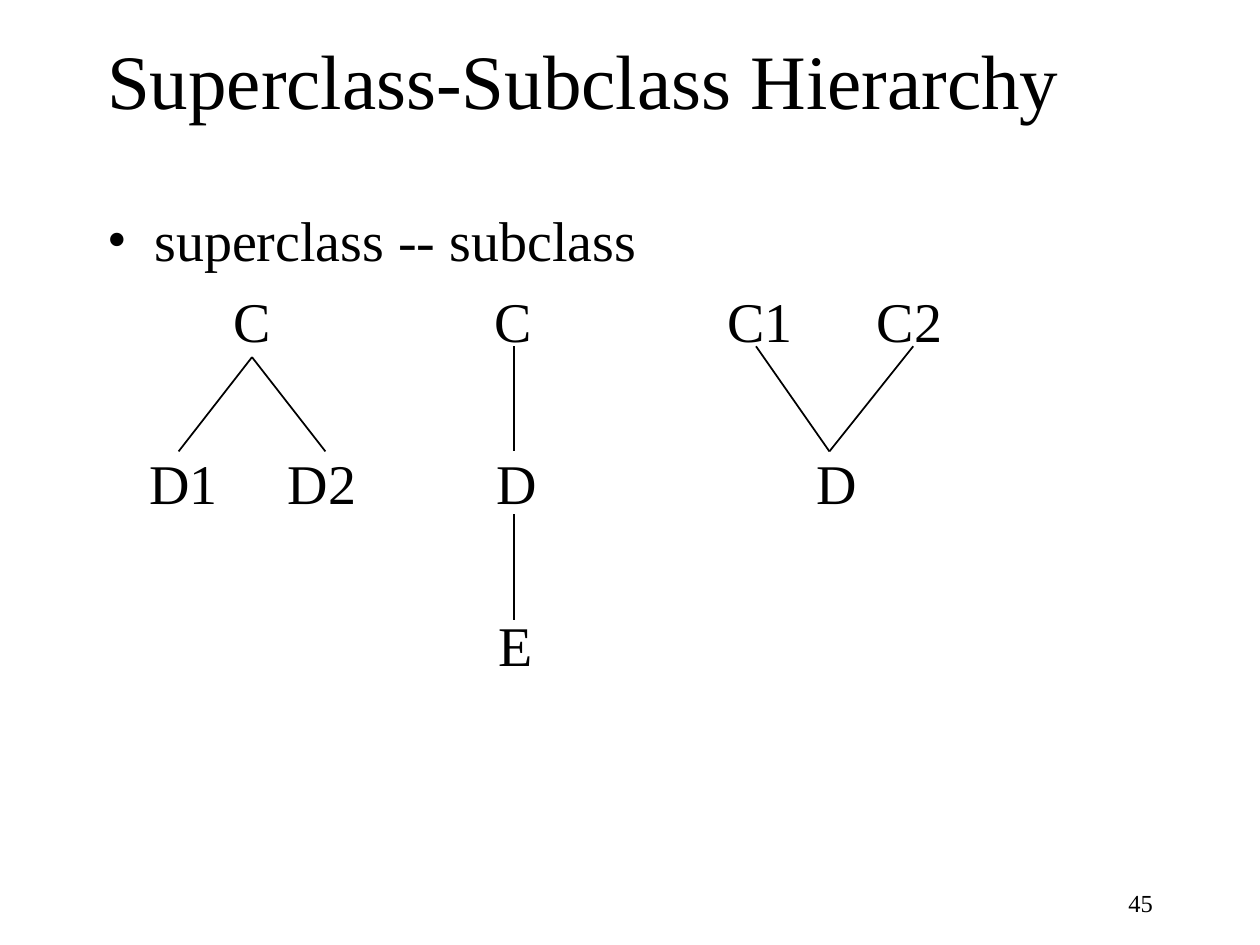
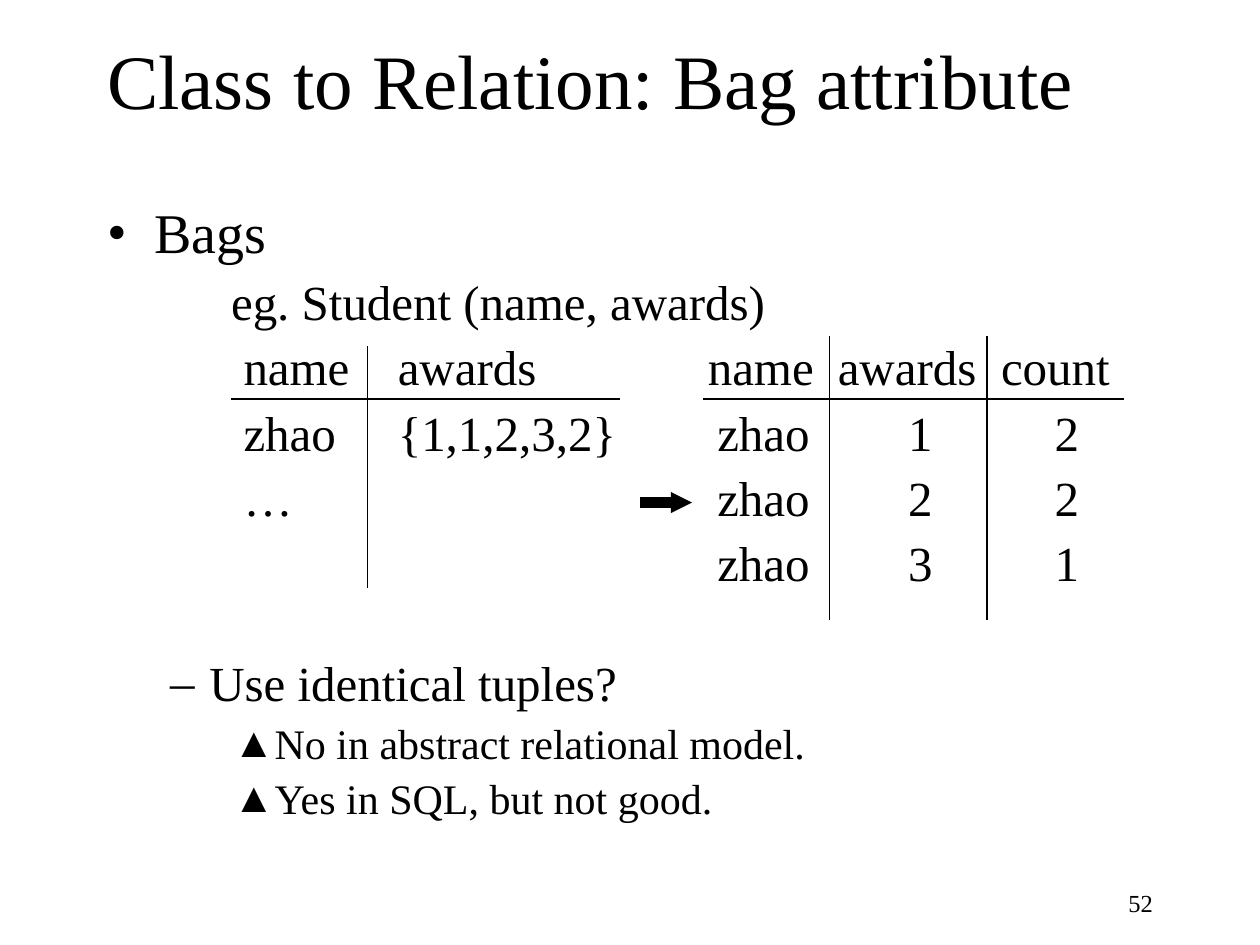
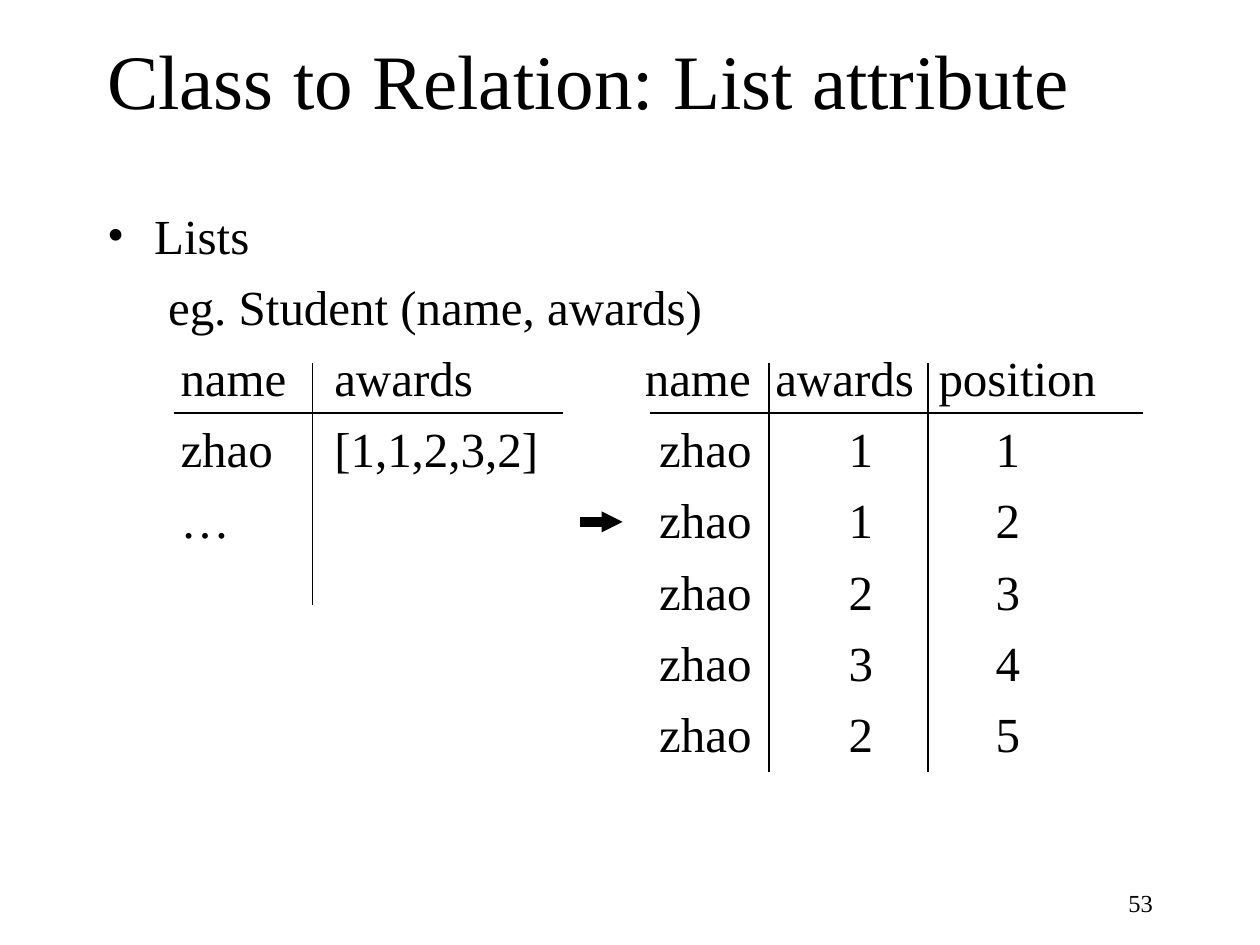
from lxml import etree
from pptx import Presentation
from pptx.dml.color import RGBColor
from pptx.enum.shapes import MSO_CONNECTOR
from pptx.enum.text import MSO_ANCHOR, PP_ALIGN
from pptx.oxml.ns import qn
from pptx.util import Cm, Pt

STRAIGHT = MSO_CONNECTOR.STRAIGHT
TOP, MIDDLE = MSO_ANCHOR.TOP, MSO_ANCHOR.MIDDLE
LEFT, RIGHT = PP_ALIGN.LEFT, PP_ALIGN.RIGHT

FONT, INK = "Times New Roman", "000000"

# Shared boxes: left, top, width, height in cm
TITLE_BOX = (1.91, 0, 21.59, 3.18)
BODY_BOX = (1.91, 4.02, 21.59, 12.9)
NUMBER_BOX = (18.2, 17.78, 5.29, 0.84)

# Bullet levels: character, left margin, hanging indent in cm
DOT = ("•", 0.95, -0.95)
DASH = ("–", 2.06, -0.79)
TRIANGLE = ("▲", 3.18, -0.64)

# Tab stops in cm from the left edge of the text
BAG_HEAD = (2.75, 5.86, 12.11, 14.73, 18.02)
BAG_ROW = (2.75, 5.86, 12.3, 16.15, 19.1)
LIST_HEAD = (1.48, 4.58, 10.84, 13.47, 16.76)
LIST_ROW = (1.48, 4.58, 11.13, 14.95, 17.91)

# Each body line is (text or cells, format); lines and arrows are x1, y1, x2, y2 in cm
SLIDES = [
    dict(
        number=45, title="Superclass-Subclass Hierarchy",
        style=dict(size=32, before=8),
        body=[
            ("superclass -- subclass", dict(bullet=DOT)),
            (["C", "C", "C1", "C2"], dict(tabs=(2.54, 7.81, 12.51, 15.52))),
            (["D1", "D2", "D", "D"], dict(tabs=(0.85, 3.64, 7.84, 14.3), before=54)),
            (["E"], dict(tabs=(7.9,), before=54)),
        ],
        lines=[
            (5.08, 7.2, 3.6, 9.1), (5.08, 7.2, 6.56, 9.1),
            (10.37, 6.98, 10.37, 9.1), (10.37, 10.37, 10.37, 12.49),
            (15.24, 6.98, 16.72, 9.1), (16.72, 9.1, 18.41, 6.98),
        ],
    ),
    dict(
        number=52, title="Class to Relation: Bag attribute",
        style=dict(size=28, before=7, spacing=0.9),
        body=[
            ("Bags", dict(bullet=DOT, size=32)),
            ("eg. Student (name, awards)", dict(margin=2.5)),
            (["name", "awards", "name", "awards", "count"], dict(tabs=BAG_HEAD)),
            (["zhao", "{1,1,2,3,2}", "zhao", "1", "2"], dict(tabs=BAG_ROW)),
            (["…", "", "zhao", "2", "2"], dict(tabs=BAG_ROW)),
            (["", "", "zhao", "3", "1"], dict(tabs=BAG_ROW)),
            ("Use identical tuples?", dict(bullet=DASH, before=38.5)),
            ("No in abstract relational model.",
             dict(bullet=TRIANGLE, size=24, before=6)),
            ("Yes in SQL, but not good.",
             dict(bullet=TRIANGLE, size=24, before=6)),
        ],
        lines=[
            (4.66, 8.05, 12.49, 8.05), (7.41, 6.98, 7.41, 11.85),
            (14.18, 8.05, 22.65, 8.05), (16.72, 6.77, 16.72, 12.49),
            (19.9, 6.77, 19.9, 12.49),
        ],
        arrow=(12.9, 10.13, 13.95, 10.13),
    ),
    dict(
        number=53, title="Class to Relation: List attribute",
        style=dict(size=28, before=7),
        body=[
            ("Lists", dict(bullet=DOT)),
            ("eg. Student (name, awards)", dict(margin=1.23)),
            (["name", "awards", "name", "awards", "position"], dict(tabs=LIST_HEAD)),
            (["zhao", "[1,1,2,3,2]", "zhao", "1", "1"], dict(tabs=LIST_ROW)),
            (["…", "", "zhao", "1", "2"], dict(tabs=LIST_ROW)),
            (["", "", "zhao", "2", "3"], dict(tabs=LIST_ROW)),
            (["", "", "zhao", "3", "4"], dict(tabs=LIST_ROW)),
            (["", "", "zhao", "2", "5"], dict(tabs=LIST_ROW)),
        ],
        lines=[
            (3.5, 8.33, 11.34, 8.33), (6.3, 7.32, 6.3, 12.2),
            (13.1, 8.33, 23.04, 8.33), (15.5, 7.32, 15.5, 15.57),
            (18.7, 7.32, 18.7, 15.57),
        ],
        arrow=(11.7, 10.52, 12.55, 10.52),
    ),
]


def color(value):
    return RGBColor.from_string(value)


def add_box(s, box, anchor=TOP):
    tf = s.shapes.add_textbox(*map(Cm, box)).text_frame
    tf.word_wrap = True
    tf.vertical_anchor = anchor
    return tf


def add_text(tf, text, size, before=0, spacing=1.0, align=LEFT,
             bullet=None, margin=0, tabs=()):
    """Write one paragraph; a list of cells is set on the tab stops."""
    first = not tf.paragraphs[0].runs
    p = tf.paragraphs[0] if first else tf.add_paragraph()
    pPr = p._p.get_or_add_pPr()
    char, margin, indent = bullet or (None, margin, 0)
    if margin:
        pPr.set("marL", str(Cm(margin)))
        pPr.set("indent", str(Cm(indent)))
    if char:
        etree.SubElement(pPr, qn("a:buFont"), typeface=FONT)
        etree.SubElement(pPr, qn("a:buChar"), char=char)
    else:
        etree.SubElement(pPr, qn("a:buNone"))
    if tabs:
        stops = etree.SubElement(pPr, qn("a:tabLst"))
        for stop in tabs:
            etree.SubElement(stops, qn("a:tab"), pos=str(Cm(stop)), algn="l")
        text = "".join("\t" + cell for cell in text)
    p.alignment = align
    p.line_spacing = spacing
    p.space_before = Pt(0 if first else before)
    r = p.add_run()
    r.text = text
    r.font.name, r.font.size = FONT, Pt(size)
    r.font.color.rgb = color(INK)


def add_line(s, ends, width=1, arrow=False):
    line = s.shapes.add_connector(STRAIGHT, *map(Cm, ends))
    line.line.color.rgb = color(INK)
    line.line.width = Pt(width)
    if arrow:
        ln = line._element.spPr.find(qn("a:ln"))
        etree.SubElement(ln, qn("a:tailEnd"), type="triangle", w="sm", len="sm")
    etree.SubElement(line._element.spPr, qn("a:effectLst"))


def add_slide(prs, number, title, style, body, lines, arrow=None):
    s = prs.slides.add_slide(prs.slide_layouts[6])
    add_text(add_box(s, TITLE_BOX, MIDDLE), title, size=44)
    tf = add_box(s, BODY_BOX)
    for text, form in body:
        add_text(tf, text, **{**style, **form})
    for ends in lines:
        add_line(s, ends)
    if arrow:
        add_line(s, arrow, width=6, arrow=True)
    add_text(add_box(s, NUMBER_BOX), str(number), size=14, align=RIGHT)


def main():
    prs = Presentation()
    prs.slide_width, prs.slide_height = Cm(25.4), Cm(19.05)
    for content in SLIDES:
        add_slide(prs, **content)
    prs.save("out.pptx")


if __name__ == "__main__":
    main()
